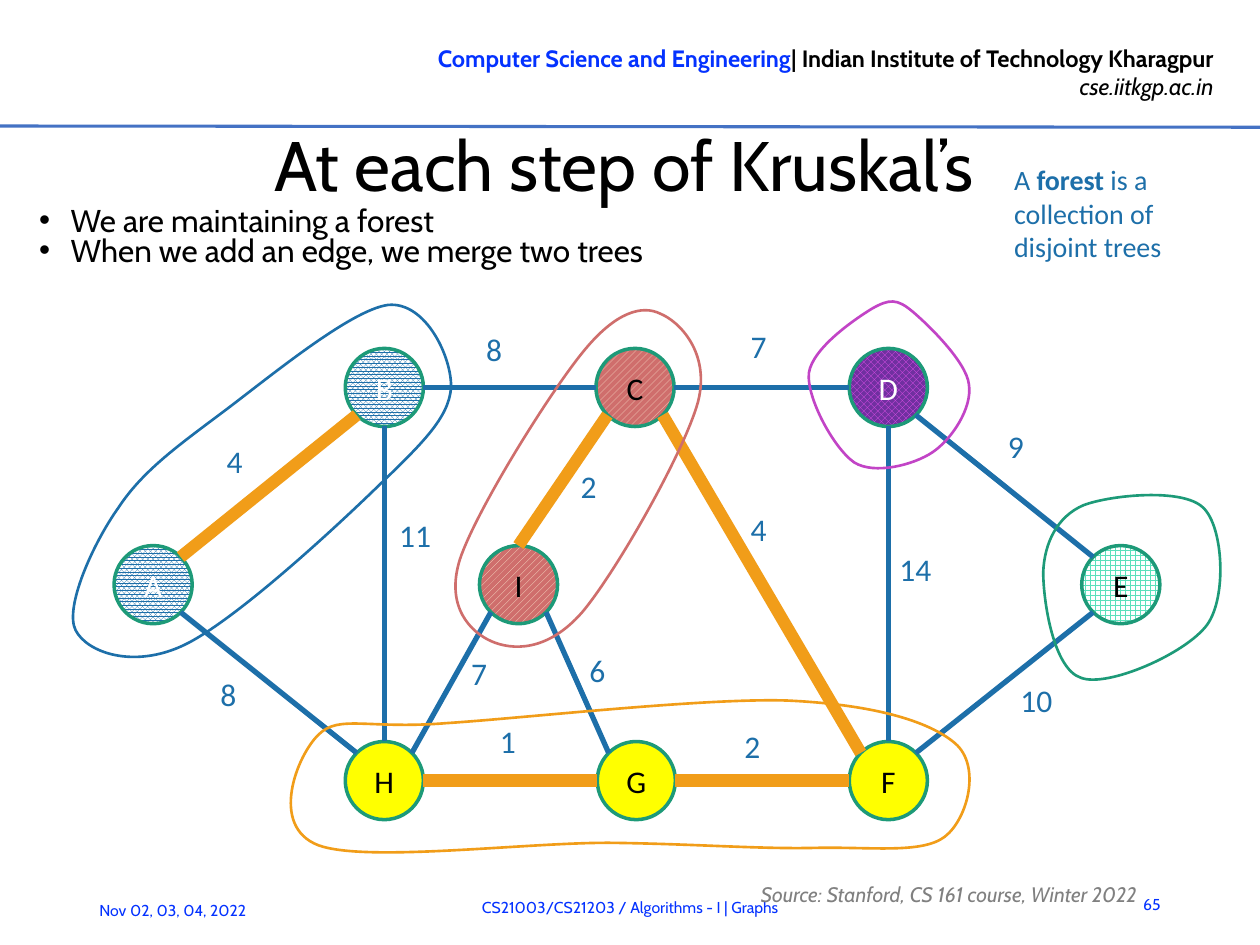
"""Build a slide on the forest kept by Kruskal's algorithm."""
from typing import NamedTuple

from lxml import etree
from pptx import Presentation
from pptx.dml.color import RGBColor
from pptx.enum.dml import MSO_PATTERN
from pptx.enum.shapes import MSO_CONNECTOR, MSO_SHAPE
from pptx.enum.text import MSO_ANCHOR, MSO_AUTO_SIZE, PP_ALIGN
from pptx.oxml.ns import qn
from pptx.util import Inches, Pt

LEFT, CENTER, RIGHT = PP_ALIGN.LEFT, PP_ALIGN.CENTER, PP_ALIGN.RIGHT
TOP, MIDDLE, NO_AUTOFIT = MSO_ANCHOR.TOP, MSO_ANCHOR.MIDDLE, MSO_AUTO_SIZE.NONE
STRAIGHT, OVAL = MSO_CONNECTOR.STRAIGHT, MSO_SHAPE.OVAL
CHECKS, STRIPES = MSO_PATTERN.LARGE_CHECKER_BOARD, MSO_PATTERN.WIDE_UPWARD_DIAGONAL
DOTS, GRID = MSO_PATTERN.PERCENT_80, MSO_PATTERN.LARGE_GRID

BLACK, WHITE, GRAY, YELLOW = map(RGBColor.from_string, ("000000", "FFFFFF", "808080", "FFFF00"))
BLUE, LINK_BLUE, RULE_BLUE = map(RGBColor.from_string, ("1D6FA9", "0432FF", "4472C4"))
GREEN, MINT, ORANGE, ROSE = map(RGBColor.from_string, ("1D9A78", "5AE0BB", "F19D19", "CF6E6C"))
CREAM, PURPLE, PINK, MAGENTA = map(RGBColor.from_string, ("FCEBD1", "7030A0", "EA53F1", "C244C6"))

CELL = Inches(0.1)
COLUMNS, ROWS = 100, 75
UPPER, MIDWAY, LOWER = 30.75, 46.4, 61.95
RADIUS = 3.1
DIAGONAL = RADIUS * 0.5 ** 0.5
SITES = {"N": (0, -RADIUS), "E": (RADIUS, 0), "S": (0, RADIUS), "W": (-RADIUS, 0),
         "NE": (DIAGONAL, -DIAGONAL), "SE": (DIAGONAL, DIAGONAL),
         "SW": (-DIAGONAL, DIAGONAL), "NW": (-DIAGONAL, -DIAGONAL)}


class Run(NamedTuple):
    """A stretch of text with its own look."""
    text: str
    bold: bool = False
    italic: bool = False
    color: RGBColor | None = None


class Tree(NamedTuple):
    """The fill and letter colour shared by the nodes of one tree."""
    back: RGBColor
    letter: RGBColor = BLACK
    pattern: MSO_PATTERN | None = None
    front: RGBColor = WHITE


class Node(NamedTuple):
    """A graph node centred on a column and a row."""
    column: float
    row: float
    tree: Tree


class Edge(NamedTuple):
    """A weighted edge between two node sites, with its label's corner."""
    start: str
    end: str
    weight: int
    label: tuple[float, float]
    chosen: bool = False


class Outline(NamedTuple):
    """A closed chain of cubic curves in a box, as alternating columns and rows."""
    color: RGBColor
    box: tuple[float, float, float, float]
    numbers: tuple[float, ...]


AB_TREE, CI_TREE = Tree(WHITE, WHITE, DOTS, BLUE), Tree(ROSE, BLACK, STRIPES, CREAM)
D_TREE, E_TREE = Tree(PURPLE, WHITE, CHECKS, PINK), Tree(WHITE, BLACK, GRID, MINT)
FGH_TREE = Tree(YELLOW)
NODES = {
    "D": Node(70.5, UPPER, D_TREE), "C": Node(50.4, UPPER, CI_TREE), "B": Node(30.5, UPPER, AB_TREE),
    "A": Node(12.15, MIDWAY, AB_TREE), "H": Node(30.5, LOWER, FGH_TREE), "G": Node(50.5, LOWER, FGH_TREE),
    "F": Node(70.5, LOWER, FGH_TREE), "I": Node(41.15, MIDWAY, CI_TREE), "E": Node(88.95, MIDWAY, E_TREE),
}
EDGES = [
    Edge("C SE", "F NW", 4, (58.6, 40), True), Edge("C E", "D W", 7, (58.6, 25.5)),
    Edge("E NW", "D SE", 9, (79, 33.4)), Edge("E SW", "F NE", 10, (80, 53.6)),
    Edge("D S", "F N", 14, (70.4, 43.2)), Edge("I SE", "G NW", 6, (45.8, 51.2)),
    Edge("G E", "F W", 2, (58.1, 57.2), True), Edge("I N", "C SW", 2, (45.1, 36.6), True),
    Edge("B E", "C W", 8, (37.6, 25.7)), Edge("A NE", "B SW", 4, (17, 34.6), True),
    Edge("A SE", "H NW", 8, (16.5, 53.1)), Edge("G W", "H E", 1, (38.7, 56.8), True),
    Edge("I SW", "H NE", 7, (36.4, 51.4)), Edge("H N", "B S", 11, (30.7, 40.5)),
]
OUTLINES = [
    Outline(BLUE, (5.8, 24.2, 30, 27.9), (
        9.4, 40.3, 11.3, 37.4, 14.1, 35.4, 17.7, 32.7, 21.3, 30, 27.8, 24.6, 30.8, 24.2, 33.8, 23.9,
        35.9, 28.4, 35.8, 30.8, 35.6, 33.2, 33.5, 35.2, 30, 38.6, 26.5, 42, 18.6, 49.3, 14.6, 51.2,
        10.6, 53.1, 6.9, 51.8, 6, 50, 5.1, 48.2, 7.4, 43.1, 9.4, 40.3)),
    Outline(ROSE, (36.2, 24.6, 19.5, 26.7), (
        46.3, 27.9, 43.6, 31.2, 37.8, 40.5, 36.5, 44.4, 35.3, 48.2, 37.4, 50.2, 39, 50.9, 40.6, 51.6,
        43.4, 51.8, 46.2, 48.6, 48.9, 45.4, 54.3, 35.9, 55.4, 31.9, 56.4, 28, 53.9, 25.5, 52.4, 24.9,
        51, 24.2, 48.9, 24.7, 46.3, 27.9)),
    Outline(ORANGE, (23.1, 55.6, 53.9, 12), (
        64.7, 67.3, 69.1, 67.2, 73.2, 67.8, 75, 66.4, 76.8, 65, 77.9, 60.8, 75.8, 59, 73.7, 57.2,
        69.2, 55.9, 62.4, 55.6, 55.7, 55.4, 41.6, 57, 35.4, 57.4, 29.2, 57.9, 26.9, 56.7, 25.3, 58.3,
        23.6, 59.9, 21.3, 65.6, 25.3, 67.1, 29.2, 68.5, 42.3, 66.8, 48.8, 66.9, 55.4, 67, 60.4, 67.4,
        64.7, 67.3)),
    Outline(MAGENTA, (64.2, 23.9, 12.7, 13.2), (
        69.2, 24.5, 67.9, 25.3, 64.5, 27.6, 64.2, 29.6, 64, 31.6, 66.2, 35.6, 67.8, 36.7, 69.4, 37.7,
        72.5, 36.9, 74, 35.9, 75.5, 34.9, 77.2, 32.4, 76.9, 30.5, 76.7, 28.7, 73.6, 25.7, 72.4, 24.7,
        71.2, 23.7, 70.6, 23.7, 69.2, 24.5)),
    Outline(GREEN, (82.8, 39.3, 14, 14.7), (
        86, 40.1, 83.9, 41, 82.9, 43.1, 82.8, 45.4, 82.8, 47.7, 83.6, 53.1, 85.8, 53.8, 87.9, 54.6,
        94.1, 51.9, 95.8, 49.6, 97.4, 47.4, 97.1, 41.8, 95.5, 40.3, 93.9, 38.7, 88.1, 39.3, 86, 40.1)),
]


def cells(*values: float) -> list[int]:
    """Turn grid cells into slide lengths."""
    return [round(value * CELL) for value in values]


def write_text(shape, *lines: list[Run], size: float, color=BLACK, font="Cabin",
               align=LEFT, anchor=TOP, spacing=None) -> None:
    """Fill a shape with one paragraph per list of runs."""
    frame = shape.text_frame
    frame.word_wrap, frame.auto_size, frame.vertical_anchor = True, NO_AUTOFIT, anchor
    for index, runs in enumerate(lines):
        paragraph = frame.add_paragraph() if index else frame.paragraphs[0]
        paragraph.alignment, paragraph.space_before = align, Pt(0)
        paragraph.line_spacing = Pt(spacing) if spacing else None
        for part in runs:
            run = paragraph.add_run()
            run.text = part.text
            run.font.name, run.font.size = font, Pt(size)
            run.font.bold, run.font.italic = part.bold, part.italic
            run.font.color.rgb = part.color or color


def add_text(slide, box: tuple, *lines: list[Run], **style) -> None:
    """Add a text box at left, top, width and height in cells."""
    write_text(slide.shapes.add_textbox(*cells(*box)), *lines, **style)


def draw_line(slide, ends: tuple, color: RGBColor, width: float) -> None:
    """Draw a straight connector without a shadow."""
    line = slide.shapes.add_connector(STRAIGHT, *cells(*ends))
    line.line.color.rgb, line.line.width = color, Pt(width)
    etree.SubElement(line._element.spPr, qn("a:effectLst"))


def draw_node(slide, name: str, node: Node) -> None:
    """Draw a lettered circle in the fill of its tree."""
    box = cells(node.column - RADIUS, node.row - RADIUS, 2 * RADIUS, 2 * RADIUS)
    shape, tree = slide.shapes.add_shape(OVAL, *box), node.tree
    shape.shadow.inherit = False
    shape.line.color.rgb, shape.line.width = GREEN, Pt(2)
    if tree.pattern is None:
        shape.fill.solid()
        shape.fill.fore_color.rgb = tree.back
    else:
        shape.fill.patterned()
        shape.fill.pattern = tree.pattern
        shape.fill.fore_color.rgb, shape.fill.back_color.rgb = tree.front, tree.back
    write_text(shape, [Run(name)], size=18, color=tree.letter, font="Calibri", align=CENTER, anchor=MIDDLE)


def site_position(place: str) -> tuple[float, float]:
    """Locate a compass site on the rim of a node."""
    name, site = place.split()
    return NODES[name].column + SITES[site][0], NODES[name].row + SITES[site][1]


def draw_outline(slide, outline: Outline) -> None:
    """Draw a smooth closed outline, turning its straight segments into curves."""
    points = list(zip(cells(*outline.numbers[::2]), cells(*outline.numbers[1::2])))
    builder = slide.shapes.build_freeform(*points[0])
    builder.add_line_segments(points[3::3], close=True)
    shape = builder.convert_to_shape()
    shape.left, shape.top, shape.width, shape.height = cells(*outline.box)
    shape.shadow.inherit = False
    shape.fill.background()
    shape.line.color.rgb, shape.line.width = outline.color, Pt(1.5)
    curve_path = next(shape._element.iter(qn("a:path")))
    curve_path.clear()
    curve_path.set("w", str(shape.width))
    curve_path.set("h", str(shape.height))
    groups = [points[:1]] + [points[first:first + 3] for first in range(1, len(points), 3)]
    for group in groups:
        segment = etree.SubElement(curve_path, qn("a:moveTo" if len(group) == 1 else "a:cubicBezTo"))
        for across, down in group:
            etree.SubElement(segment, qn("a:pt"), x=str(across - shape.left), y=str(down - shape.top))
    etree.SubElement(curve_path, qn("a:close"))


def main() -> None:
    """Build and save the slide."""
    presentation = Presentation()
    presentation.slide_width, presentation.slide_height = cells(COLUMNS, ROWS)
    slide = presentation.slides.add_slide(presentation.slide_layouts[1])
    title, body = slide.placeholders
    title.left, title.top, title.width, title.height = cells(3.2, 9.6, 92.6, 6.8)
    write_text(title, [Run("At each step of Kruskal’s")], size=40, align=CENTER, anchor=MIDDLE)
    frame = title.text_frame
    frame.margin_left = frame.margin_right = frame.margin_top = frame.margin_bottom = 0
    body.left, body.top, body.width, body.height = cells(2.1, 16.1, 93.7, 23.2)
    write_text(body, [Run("We are maintaining a forest")],
               [Run("When we add an edge, we merge two trees")], size=18, spacing=17)
    for paragraph in body.text_frame.paragraphs:
        properties = paragraph._p.get_or_add_pPr()
        properties.set("marL", str(Inches(0.25)))
        properties.set("indent", str(-Inches(0.25)))
    add_text(slide, (26.5, 3, 70.8, 5.6), [Run("Computer Science and Engineering", True, color=LINK_BLUE),
             Run("| Indian Institute of Technology Kharagpur", True)],
             [Run("cse.iitkgp.ac.in", italic=True)], size=13.5, align=RIGHT)
    draw_line(slide, (0, 10, COLUMNS, 10.1), RULE_BLUE, 1.75)
    footer = {"size": 9, "color": LINK_BLUE}
    add_text(slide, (88.2, 69.8, 4.9, 4), [Run("65")], align=RIGHT, anchor=MIDDLE, **footer)
    add_text(slide, (6.9, 71, 17.5, 4), [Run("Nov 02, 03, 04, 2022")], **footer)
    add_text(slide, (16.5, 70, 67, 4), [Run("CS21003/CS21203 / Algorithms - I | Graphs")],
             align=CENTER, anchor=MIDDLE, **footer)
    add_text(slide, (59.4, 69.3, 40.2, 2.3), [Run("Source: Stanford, CS 161 course, Winter 2022", italic=True)],
             size=12, color=GRAY, anchor=MIDDLE, spacing=21.3)
    graph_text = {"color": BLUE, "font": "Calibri"}
    add_text(slide, (79.5, 12.4, 18.8, 9.1), [Run("A "), Run("forest", True),
             Run(" is a collection of disjoint trees")], size=16, **graph_text)
    for name, node in NODES.items():
        draw_node(slide, name, node)
    for edge in EDGES:
        color, width = (ORANGE, 7) if edge.chosen else (BLUE, 3)
        draw_line(slide, site_position(edge.start) + site_position(edge.end), color, width)
        add_text(slide, (*edge.label, 8.6, 5), [Run(str(edge.weight))], size=18, **graph_text)
    for outline in OUTLINES:
        draw_outline(slide, outline)
    presentation.save("out.pptx")


if __name__ == "__main__":
    main()
